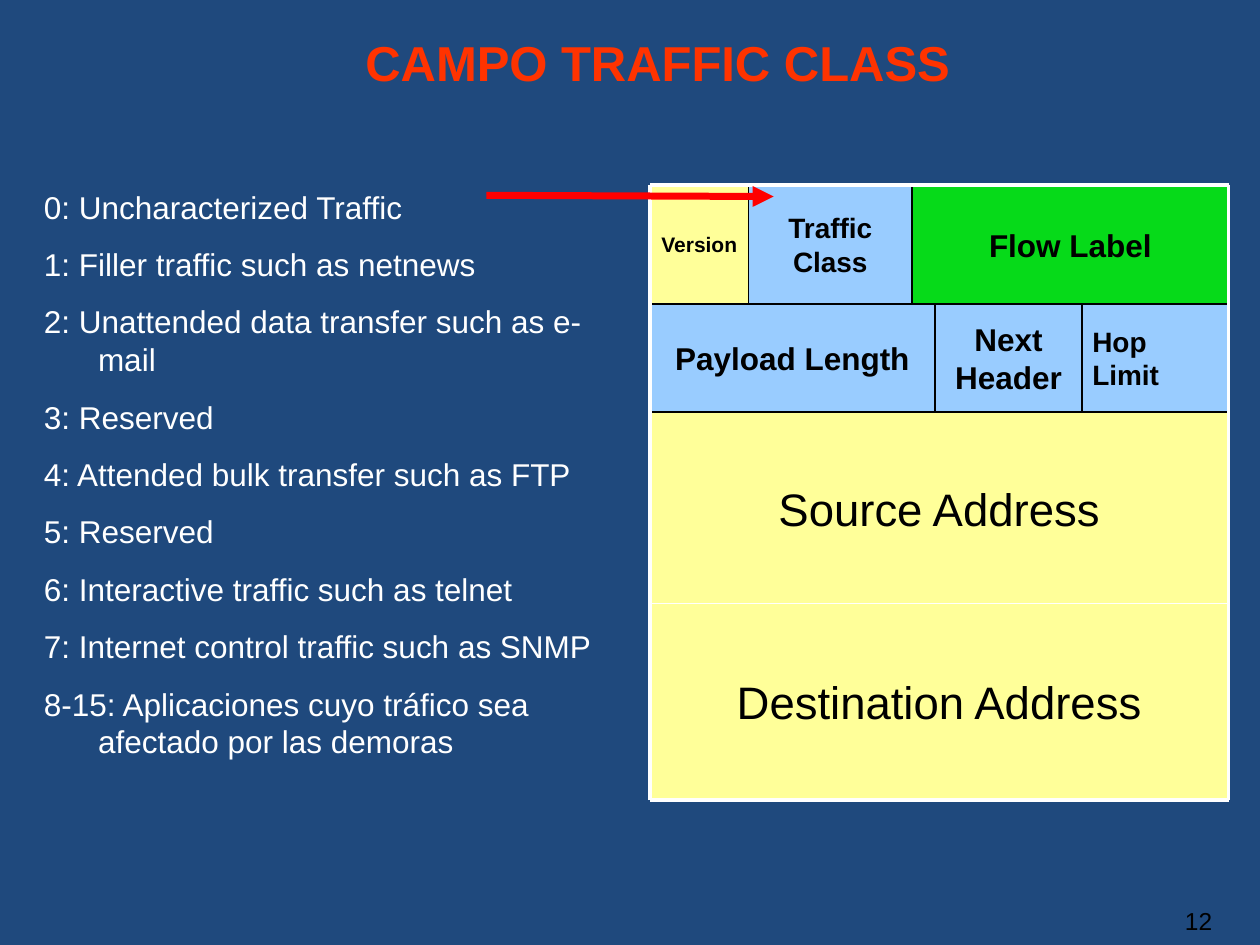
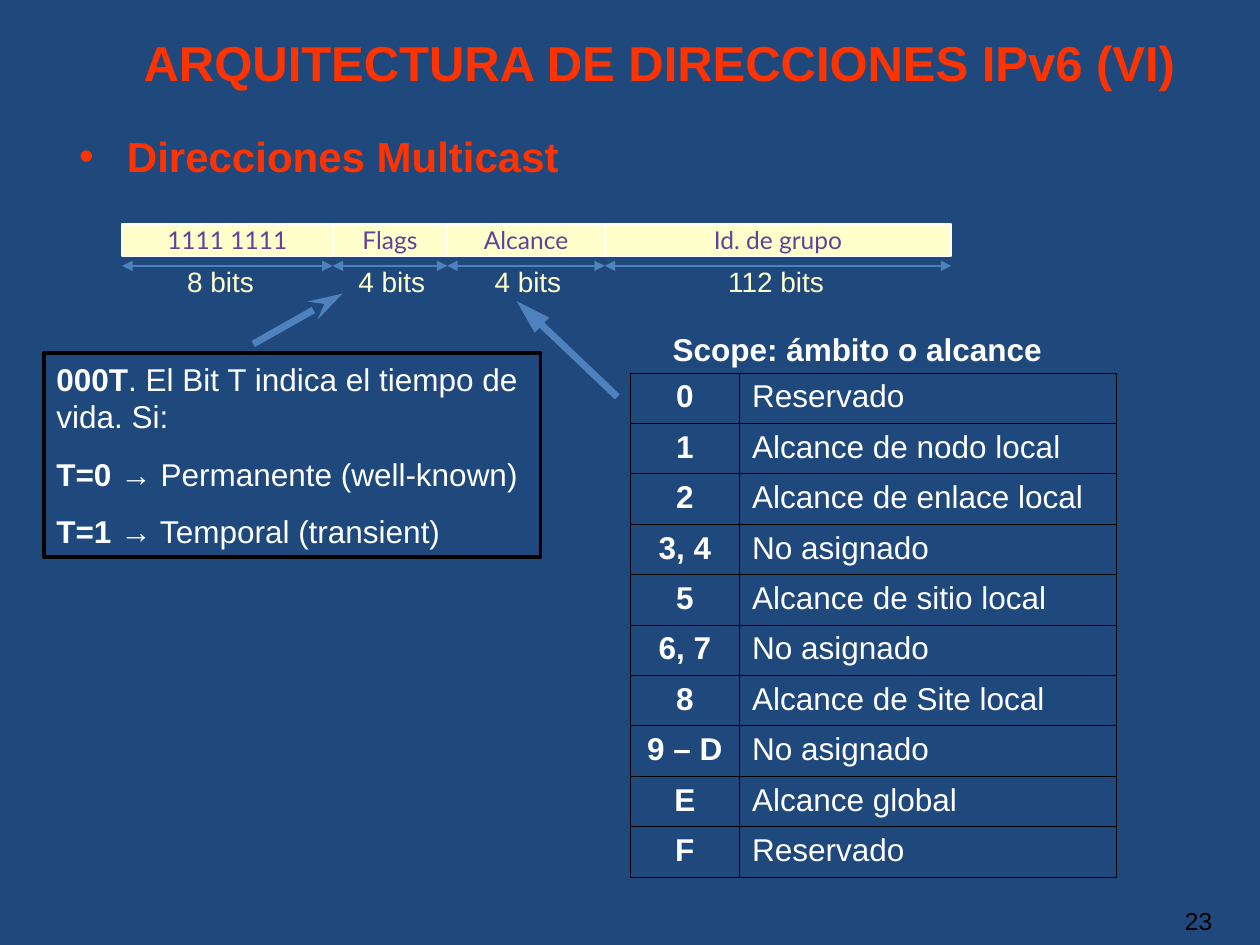
from itertools import pairwise

from pptx import Presentation
from pptx.dml.color import RGBColor
from pptx.enum.shapes import MSO_CONNECTOR, MSO_SHAPE
from pptx.enum.text import MSO_ANCHOR, MSO_AUTO_SIZE, PP_ALIGN
from pptx.oxml.ns import qn
from pptx.util import Inches, Pt
from lxml.etree import SubElement

COLORS = {
    "background": "1F497D", "title": "FF3300", "text": "FFFFFF", "ink": "000000",
    "address": "FFFF99", "control": "99CCFF", "flow": "00FF00", "pointer": "FF0000",
    "field": "FFFFCC", "field_text": "644098", "measure": "4F81BD",
}
COLUMNS, ROWS = 100, 75
LEFT, CENTER, RIGHT, JUSTIFY = PP_ALIGN.LEFT, PP_ALIGN.CENTER, PP_ALIGN.RIGHT, PP_ALIGN.JUSTIFY
TOP, MIDDLE = MSO_ANCHOR.TOP, MSO_ANCHOR.MIDDLE

TRAFFIC_CLASSES = [
    "0: Uncharacterized Traffic",
    "1: Filler traffic such as netnews",
    "2: Unattended data transfer such as e-mail",
    "3: Reserved",
    "4: Attended bulk transfer such as FTP",
    "5: Reserved",
    "6: Interactive traffic such as telnet",
    "7: Internet control traffic such as SNMP",
    "8-15: Aplicaciones cuyo tráfico sea afectado por las demoras",
]
HEADER_EDGES = [14.7, 24.1, 32.7, 47.9, 63.5]
HEADER_ROWS = [
    ([51.6, 59.4, 72.4, 97.5], [("Version", "address", 12), ("Traffic Class", "control", 16),
                                ("Flow Label", "flow", 18)]),
    ([51.6, 74.2, 85.9, 97.5], [("Payload Length", "control", 18), ("Next Header", "control", 18),
                                ("Hop Limit", "control", 16)]),
    ([51.6, 97.5], [("Source Address", "address", 26)]),
    ([51.6, 97.5], [("Destination Address", "address", 26)]),
]
MULTICAST_EDGES = [9.7, 26.4, 35.5, 48, 75.5]
MULTICAST_FIELDS = [
    ("1111 1111", "8 bits", 17.5), ("Flags", "4 bits", 31.1),
    ("Alcance", "4 bits", 41.9), ("Id. de grupo", "112 bits", 61.6),
]
FLAG_NOTES = [
    [("000T", True), (". El Bit T indica el tiempo de vida. Si:", False)],
    [("T=0 ", True), ("→ Permanente (well-known)", False)],
    [("T=1 ", True), ("→ Temporal (transient)", False)],
]
SCOPES = [
    ("0", "Reservado"), ("1", "Alcance de nodo local"), ("2", "Alcance de enlace local"),
    ("3, 4", "No asignado"), ("5", "Alcance de sitio local"), ("6, 7", "No asignado"),
    ("8", "Alcance de Site local"), ("9 – D", "No asignado"), ("E", "Alcance global"),
    ("F", "Reservado"),
]


def rgb(color):
    """Return the named colour."""
    return RGBColor.from_string(COLORS[color])


def assign(target, **values):
    """Set every given attribute on the target."""
    for name, value in values.items():
        setattr(target, name, value)


class Deck:
    """Hold the shared style and the current slide."""

    def __init__(self):
        """Start the presentation with its size and background."""
        self.show = Presentation()
        assign(self.show, slide_width=Inches(10), slide_height=Inches(7.5))
        backdrop = self.show.slide_master.background.fill
        backdrop.solid()
        backdrop.fore_color.rgb = rgb("background")
        self.slide = None

    def x(self, column):
        """Turn columns into a length."""
        return round(self.show.slide_width * column / COLUMNS)

    def y(self, row):
        """Turn rows into a length."""
        return round(self.show.slide_height * row / ROWS)

    def box(self, left, top, width, height):
        """Turn a grid box into lengths."""
        return self.x(left), self.y(top), self.x(width), self.y(height)

    def add_slide(self, heading, left, width, number):
        """Add a slide with its title and number."""
        self.slide = self.show.slides.add_slide(self.show.slide_layouts[5])
        title = self.slide.shapes.title
        places = zip(("left", "top", "width", "height"), self.box(left, 2.1, width, 5.7))
        assign(title, **dict(places))
        self.fill_frame(title.text_frame, [heading], size=28, color="title", bold=True)
        self.text([number], (91.7, 71.4, 5.5, 3.6), size=14, color="ink", align=RIGHT)

    def fill_frame(self, frame, paragraphs, size=18, color="text", bold=False, font="Arial",
                   align=LEFT, anchor=TOP, wrap=True, gap=0, hanging=0, bullet=None,
                   margins=(0.1, 0.05)):
        """Fill a text frame with paragraphs of plain or mixed runs."""
        side, edge = map(Inches, margins)
        assign(frame, word_wrap=wrap, auto_size=MSO_AUTO_SIZE.NONE, vertical_anchor=anchor,
               margin_left=side, margin_right=side, margin_top=edge, margin_bottom=edge)
        for index, content in enumerate(paragraphs):
            paragraph = frame.add_paragraph() if index else frame.paragraphs[0]
            assign(paragraph, alignment=align, space_before=Pt(gap if index else 0))
            self.indent(paragraph, hanging, bullet)
            runs = [(content, bold)] if isinstance(content, str) else content
            for words, strong in runs:
                run = paragraph.add_run()
                run.text = words
                assign(run.font, name=font, size=Pt(size), bold=strong)
                run.font.color.rgb = rgb(color)

    def indent(self, paragraph, hanging, bullet):
        """Give a paragraph its hanging indent and bullet."""
        properties = paragraph._p.get_or_add_pPr()
        if hanging:
            properties.set("marL", str(Inches(hanging)))
            properties.set("indent", str(-Inches(hanging)))
        if bullet:
            tint = SubElement(properties, qn("a:buClr"))
            SubElement(tint, qn("a:srgbClr"), val=COLORS["title"])
            SubElement(properties, qn("a:buFont"), typeface="Arial")
            SubElement(properties, qn("a:buChar"), char=bullet)

    def text(self, paragraphs, place, **style):
        """Add a text box."""
        area = self.slide.shapes.add_textbox(*self.box(*place))
        self.fill_frame(area.text_frame, paragraphs, **style)

    def block(self, paragraphs, place, fill=None, opacity=None, outline=None, weight=1, **style):
        """Add a rectangle with text."""
        block = self.slide.shapes.add_shape(MSO_SHAPE.RECTANGLE, *self.box(*place))
        block.shadow.inherit = False
        if fill:
            block.fill.solid()
            block.fill.fore_color.rgb = rgb(fill)
        else:
            block.fill.background()
        if opacity:
            tint = block._element.spPr.find(f"{qn('a:solidFill')}/{qn('a:srgbClr')}")
            SubElement(tint, qn("a:alpha"), val=str(opacity * 1000))
        if outline:
            block.line.color.rgb = rgb(outline)
            block.line.width = Pt(weight)
        else:
            block.line.fill.background()
        self.fill_frame(block.text_frame, paragraphs, anchor=MIDDLE, **style)

    def line(self, start, end, color, weight=1, head=None, tail=None, length="med"):
        """Add a straight line with optional arrowheads."""
        points = self.x(start[0]), self.y(start[1]), self.x(end[0]), self.y(end[1])
        line = self.slide.shapes.add_connector(MSO_CONNECTOR.STRAIGHT, *points)
        line.line.color.rgb = rgb(color)
        line.line.width = Pt(weight)
        stroke = line._element.spPr.find(qn("a:ln"))
        for tag, kind in (("a:headEnd", head), ("a:tailEnd", tail)):
            if kind:
                SubElement(stroke, qn(tag), type=kind, w="med", len=length)
        SubElement(line._element.spPr, qn("a:effectLst"))

    def table(self, records, place, widths):
        """Add a bordered table with a bold first column."""
        table = self.slide.shapes.add_table(len(records), len(widths), *self.box(*place)).table
        assign(table, first_row=False, horz_banding=False)
        for column, width in zip(table.columns, widths):
            column.width = self.x(width)
        for row, record in enumerate(records):
            for column, value in enumerate(record):
                cell = table.cell(row, column)
                self.border(cell)
                cell.fill.background()
                paragraph = cell.text_frame.paragraphs[0]
                paragraph.alignment = JUSTIFY if column else CENTER
                run = paragraph.add_run()
                run.text = value
                assign(run.font, name="Arial", size=Pt(18), bold=column == 0)
                run.font.color.rgb = rgb("text")

    def border(self, cell):
        """Draw thin lines on every side of a cell."""
        properties = cell._tc.get_or_add_tcPr()
        for side in ("a:lnL", "a:lnR", "a:lnT", "a:lnB"):
            stroke = SubElement(properties, qn(side), w=str(Pt(0.45)))
            paint = SubElement(stroke, qn("a:solidFill"))
            SubElement(paint, qn("a:srgbClr"), val=COLORS["ink"])


def traffic_class_slide(deck):
    """Show the traffic classes beside the packet header."""
    deck.add_slide("CAMPO TRAFFIC CLASS", 28, 50, "12")
    for (top, bottom), (edges, fields) in zip(pairwise(HEADER_EDGES), HEADER_ROWS):
        for (left, right), (name, fill, size) in zip(pairwise(edges), fields):
            deck.block([name], (left, top, right - left, bottom - top), fill,
                       opacity=80 if fill == "flow" else None, size=size, color="ink",
                       bold=size < 26, align=LEFT if name == "Hop Limit" else CENTER,
                       margins=(0.08, 0.04))
        for divider in edges[1:-1]:
            deck.line((divider, top), (divider, bottom), "ink")

    first, *dividers, last = HEADER_EDGES
    left, right = HEADER_ROWS[-1][0]
    for divider, color in zip(dividers, ("ink", "ink", "text")):
        deck.line((left, divider), (right, divider), color)
    corners = [(left, first), (right, first), (right, last), (left, last), (left, first)]
    for start, end in pairwise(corners):
        deck.line(start, end, "text", 2.25)

    deck.line((38.6, 15.5), (61.4, 15.6), "pointer", 4, tail="triangle")
    deck.text(TRAFFIC_CLASSES, (2.5, 14.4, 47.5, 46.5), gap=11.2, hanging=0.43)


def multicast_slide(deck):
    """Show the parts of a multicast address and its scopes."""
    deck.add_slide("ARQUITECTURA DE DIRECCIONES IPv6 (VI)", 10.4, 86, "23")
    deck.text(["Direcciones Multicast"], (5.3, 9.9, 89.4, 6), size=24, color="title",
              bold=True, hanging=0.38, bullet="•")
    for (left, right), (name, bits, middle) in zip(pairwise(MULTICAST_EDGES), MULTICAST_FIELDS):
        deck.block([name], (left, 17.8, right - left, 2.5), "field", outline="text", size=14,
                   color="field_text", font="Lato", align=CENTER, wrap=False)
        deck.line((left, 21.1), (right, 21.1), "measure", head="triangle", tail="triangle")
        deck.text([bits], (middle - 6, 20.5, 12, 3.7), size=16, color="field",
                  align=CENTER, anchor=MIDDLE)

    deck.line((27.2, 23.3), (20.1, 27.3), "measure", 4, head="stealth", length="lg")
    deck.block(FLAG_NOTES, (3.5, 28, 39.4, 16.2), outline="ink", weight=2, gap=11.2)
    deck.line((41, 23.9), (49, 31.5), "measure", 4, head="triangle", length="lg")
    deck.table(SCOPES, (50, 29.6, 38.6, 40), (8.7, 29.9))
    deck.text(["Scope: ámbito o alcance"], (52.4, 25.7, 32.3, 4), bold=True)


def main():
    """Build both slides and save them."""
    deck = Deck()
    traffic_class_slide(deck)
    multicast_slide(deck)
    deck.show.save("out.pptx")


if __name__ == "__main__":
    main()
